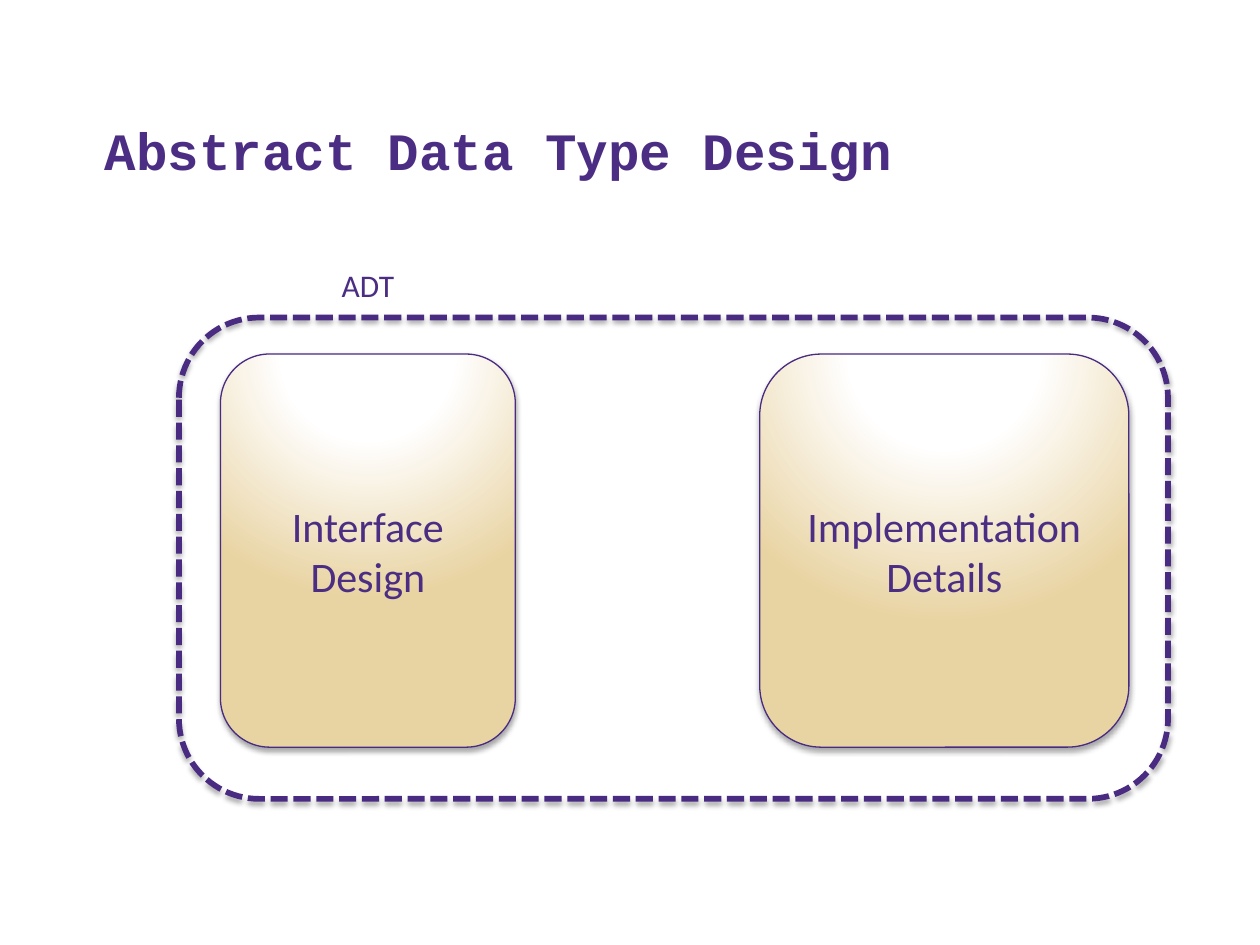
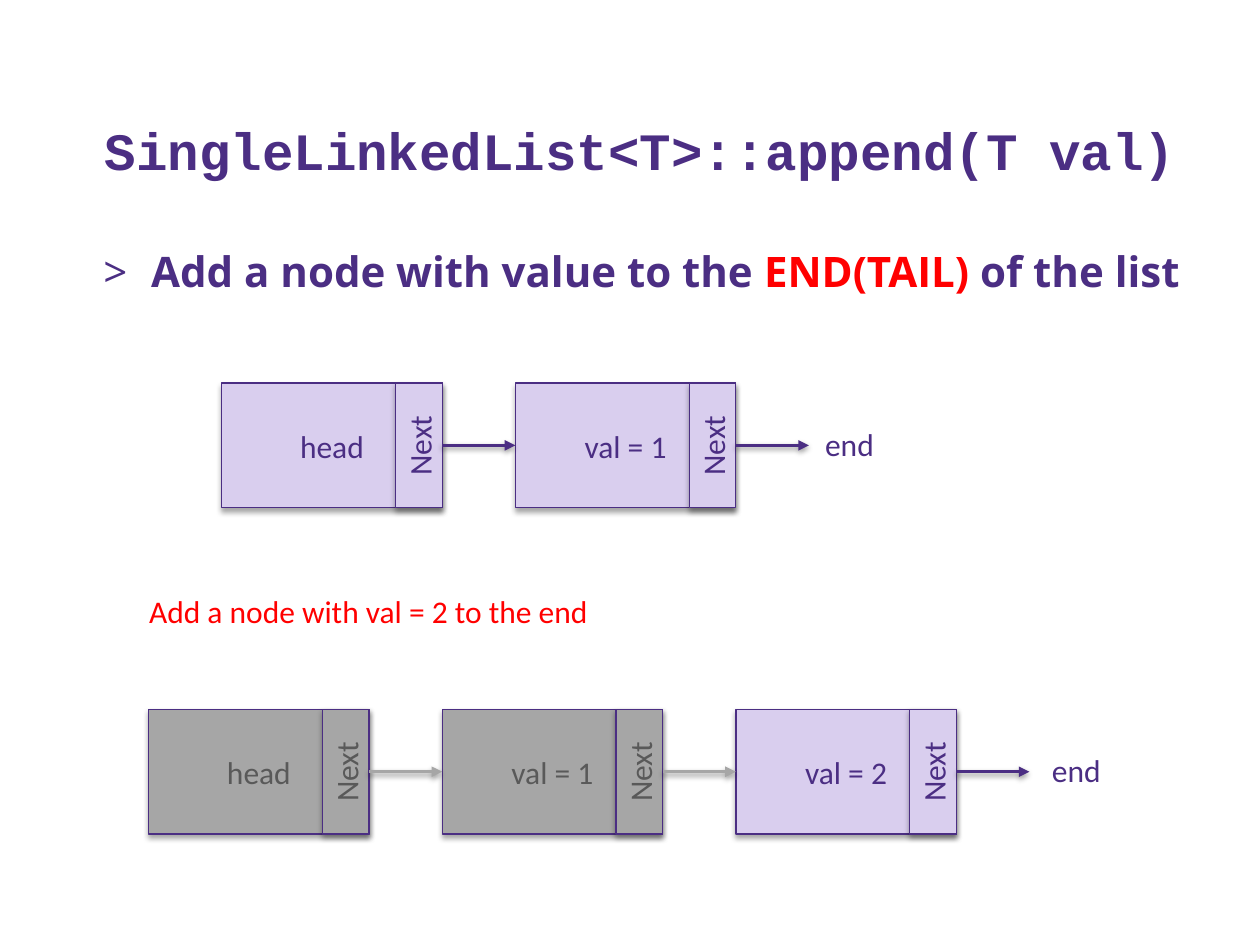
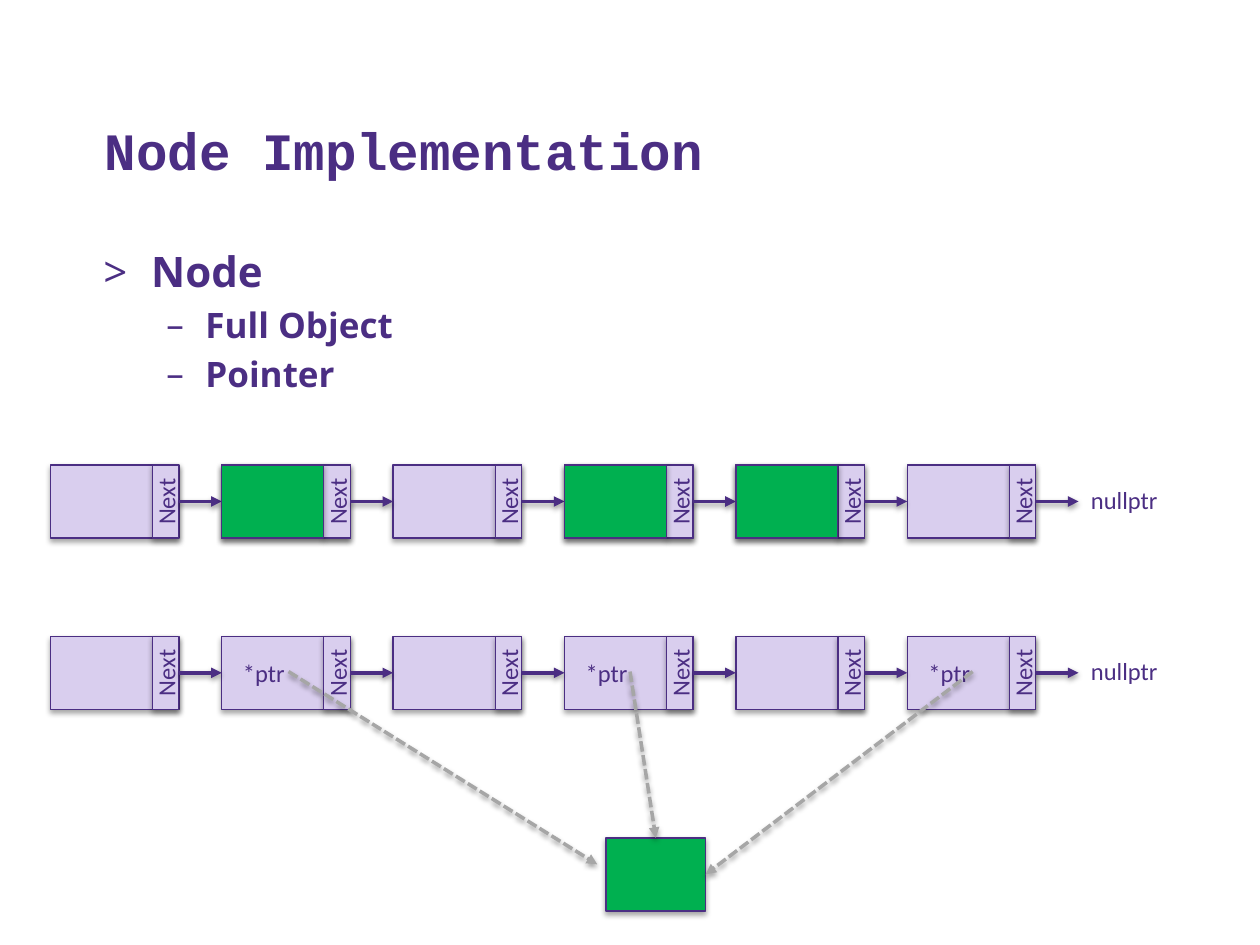
from collections import namedtuple

from lxml import etree
from pptx import Presentation
from pptx import util as u
from pptx.dml.color import RGBColor
from pptx.enum import dml, shapes, text
from pptx.oxml.ns import nsdecls, qn
from pptx.util import Inches

INK, EDGE, LILAC = "4B2E83", "492B82", "D9CEEE"
GREY, DIM, RED, GREEN = "A6A6A6", "595959", "FF0000", "00B050"
HEAD, BODY, LABEL = "Courier New", "Open Sans", "Calibri"
RECT = shapes.MSO_SHAPE.RECTANGLE
ROUND = shapes.MSO_SHAPE.ROUNDED_RECTANGLE
DASH = dml.MSO_LINE.SQUARE_DOT
LEFT, CENTER = text.PP_ALIGN.LEFT, text.PP_ALIGN.CENTER

Size = namedtuple("Size", "wide high tab gap font")
BIG = Size(1.75, 0.99, 0.37, 0.58, 18)
SMALL = Size(1.02, 0.58, 0.21, 0.34, 14)
Node = namedtuple("Node", "text faded inset", defaults=("", False, 0.1))


def rgb(code):
    return RGBColor.from_string(code)


def xml(tag, body="", **attrs):
    pairs = " ".join(f'{key}="{val}"' for key, val in attrs.items())
    return etree.fromstring(f'<a:{tag} {nsdecls("a")} {pairs}>{body}</a:{tag}>')


def style(font, size, color, face=LABEL, bold=False):
    font.name, font.size, font.bold = face, u.Pt(size), bold
    font.color.rgb = rgb(color)


def add_run(para, words, size, color=INK, face=LABEL, bold=False):
    run = para.add_run()
    run.text = words
    style(run.font, size, color, face, bold)


def write(frame, words, size, color=INK, align=CENTER):
    """Put each line of words in its own paragraph."""
    for i, line in enumerate(words.split("\n")):
        para = frame.add_paragraph() if i else frame.paragraphs[0]
        para.alignment = align
        add_run(para, line, size, color)


def shade(item, dist, alpha):
    props = item._element.spPr
    for old in props.findall(qn("a:effectLst")):
        props.remove(old)
    props.append(xml("effectLst",
                     f'<a:outerShdw blurRad="40000" dist="{dist}" dir="5400000" '
                     'rotWithShape="0"><a:srgbClr val="000000">'
                     f'<a:alpha val="{alpha}000"/></a:srgbClr></a:outerShdw>'))


def add_box(home, at, fill=None, kind=RECT, edge=INK, width=0.75):
    box = home.shapes.add_shape(kind, *map(Inches, at))
    if fill:
        box.fill.solid()
        box.fill.fore_color.rgb = rgb(fill)
    else:
        box.fill.background()
    box.line.color.rgb = rgb(edge)
    box.line.width = u.Pt(width)
    shade(box, 23000, 35)
    box.text_frame.word_wrap = True
    box.text_frame.vertical_anchor = text.MSO_ANCHOR.MIDDLE
    return box


def glow(box):
    """Fill a box with light that falls from its top."""
    props = box._element.spPr
    stops = "".join(f'<a:gs pos="{pos}000"><a:srgbClr val="{color}"/></a:gs>'
                    for pos, color in ((0, "FFFFFF"), (35, "FFFFFF"), (100, "E8D3A2")))
    props.replace(props.find(qn("a:noFill")), xml(
        "gradFill", f'<a:gsLst>{stops}</a:gsLst><a:path path="circle"><a:fillToRect '
        'l="50000" t="-80000" r="50000" b="180000"/></a:path>', rotWithShape=1))


def add_card(slide, at, words):
    card = add_box(slide, at, kind=ROUND, edge=EDGE)
    glow(card)
    write(card.text_frame, words, 24)


def add_label(slide, at, words, size=18, color=INK, align=CENTER):
    frame = slide.shapes.add_textbox(*map(Inches, at)).text_frame
    frame.word_wrap = False
    frame.auto_size = text.MSO_AUTO_SIZE.SHAPE_TO_FIT_TEXT
    write(frame, words, size, color, align)


def add_arrow(slide, start, end, color=INK, dash=None):
    ends = map(Inches, (*start, *end))
    arrow = slide.shapes.add_connector(shapes.MSO_CONNECTOR.STRAIGHT, *ends)
    arrow.line.color.rgb = rgb(color)
    arrow.line.width = u.Pt(2)
    if dash:
        arrow.line.dash_style = dash
    arrow.line._get_or_add_ln().append(xml("tailEnd", type="triangle"))
    shade(arrow, 20000, 38)
    return arrow


def add_node(slide, left, top, size, node):
    """Draw a value cell with an upright Next tab; return the cell."""
    fill, ink = (GREY, DIM) if node.faded else (LILAC, INK)
    group = slide.shapes.add_group_shape()
    cell = add_box(group, (left, top, size.wide, size.high), fill)
    if node.text:
        cell.text_frame.margin_right = Inches(node.inset)
        write(cell.text_frame, node.text, size.font, ink)
    mid_x = left + size.wide - size.tab / 2
    mid_y = top + size.high / 2
    tab = add_box(group, (mid_x - size.high / 2, mid_y - size.tab / 2,
                          size.high, size.tab), fill)
    tab.rotation = 270
    frame = tab.text_frame
    frame.word_wrap = False
    frame.margin_left = frame.margin_right = frame.margin_top = frame.margin_bottom = 0
    write(frame, "Next", size.font, ink)
    return cell


def add_chain(slide, left, top, size, nodes, end, pad=0.0):
    """Draw linked nodes, then an arrow to the end label."""
    pitch = size.wide + size.gap
    mid = top + size.high / 2
    cells = [add_node(slide, left + i * pitch, top, size, node)
             for i, node in enumerate(nodes)]
    for i, node in enumerate(nodes):
        right = left + i * pitch + size.wide
        arrow = add_arrow(slide, (right, mid), (right + size.gap, mid),
                          GREY if node.faded else INK)
        arrow.begin_connect(cells[i], 3)
        if i + 1 < len(cells):
            arrow.end_connect(cells[i + 1], 1)
    words, wide, high = end
    add_label(slide, (left + len(nodes) * pitch + pad, mid - high / 2 - 0.01, wide, high),
              words, size.font, align=LEFT)


def place(holder, at):
    holder.left, holder.top, holder.width, holder.height = map(Inches, at)
    holder.text_frame.auto_size = text.MSO_AUTO_SIZE.NONE
    holder.text_frame.word_wrap = True
    return holder.text_frame


def add_slide(deck, title, layout=1):
    slide = deck.slides.add_slide(deck.slide_layouts[layout])
    frame = place(slide.shapes.title, (0.73, 0.41, 8.95, 1.08))
    frame.vertical_anchor = text.MSO_ANCHOR.BOTTOM
    para = frame.paragraphs[0]
    para.alignment = LEFT
    add_run(para, title, 30, face=HEAD, bold=True)
    return slide


def fill_list(slide, items):
    """Write (level, runs) items, each run being (words, colour)."""
    frame = place(slide.placeholders[1], (0.72, 1.9, 8.96, 4.39))
    looks = ((">", 0.38, 0.38, 24), ("–", 0.81, 0.31, 20))
    for i, (level, runs) in enumerate(items):
        mark, indent, hang, size = looks[level]
        para = frame.add_paragraph() if i else frame.paragraphs[0]
        para.level = level
        if not i:
            para.space_before = u.Pt(0)
        props = para._p.get_or_add_pPr()
        props.set("marL", str(Inches(indent)))
        props.set("indent", str(-Inches(hang)))
        props.append(xml("buFont", typeface=BODY))
        props.append(xml("buChar", char=mark))
        for words, color in runs:
            add_run(para, words, size, color, BODY, True)


def draw_design(deck):
    slide = add_slide(deck, "Abstract Data Type Design", layout=5)
    add_card(slide, (1.75, 2.81, 2.34, 3.12), "Interface Design")
    add_card(slide, (6.03, 2.81, 2.93, 3.12), "Implementation\nDetails")
    frame = add_box(slide, (1.42, 2.52, 7.85, 3.82), kind=ROUND, edge=EDGE, width=3.25)
    frame.line.dash_style = DASH
    add_label(slide, (2.61, 2.06, 0.62, 0.4), "ADT")


def draw_append(deck):
    slide = add_slide(deck, "SingleLinkedList<T>::append(T val)")
    fill_list(slide, [(0, [("Add a node with value to the ", INK),
                           ("END(TAIL)", RED), (" of the list", INK)])])
    end = ("end", 0.59, 0.4)
    add_chain(slide, 1.76, 3.04, BIG, [Node("head"), Node("val = 1")], end, 0.03)
    add_label(slide, (1.06, 4.65, 3.73, 0.4), "Add a node with val = 2 to the end", color=RED)
    add_chain(slide, 1.18, 5.63, BIG,
              [Node("head", True), Node("val = 1", True), Node("val = 2")], end, 0.08)


def draw_nodes(deck):
    slide = add_slide(deck, "Node Implementation")
    fill_list(slide, [(0, [("Node", INK)]), (1, [("Full Object", INK)]),
                      (1, [("Pointer", INK)])])
    left, top = 0.4, 3.69
    pitch, value = SMALL.wide + SMALL.gap, SMALL.wide - SMALL.tab
    end = ("nullptr", 0.74, 0.34)
    blank, ptr = Node(), Node("*ptr", inset=0.45)
    add_chain(slide, left, top, SMALL, [blank] * 6, end)
    for i in (1, 3, 4):
        add_box(slide, (left + i * pitch, top, value, SMALL.high), GREEN)
    add_chain(slide, left, 5.05, SMALL, [blank, ptr, blank, ptr, blank, ptr], end)
    target = add_box(slide, (4.81, 6.65, 0.79, SMALL.high), GREEN)
    for start, tip, side in ((2.29, (4.74, 6.86), None),
                             (5.0, (5.2, 6.65), 0),
                             (7.72, (5.6, 6.94), 3)):
        arrow = add_arrow(slide, (start, 5.33), tip, GREY, DASH)
        if side is not None:
            arrow.end_connect(target, side)


def main():
    deck = Presentation()
    deck.slide_width, deck.slide_height = Inches(10), Inches(7.5)
    draw_design(deck)
    draw_append(deck)
    draw_nodes(deck)
    deck.save("out.pptx")


if __name__ == "__main__":
    main()
